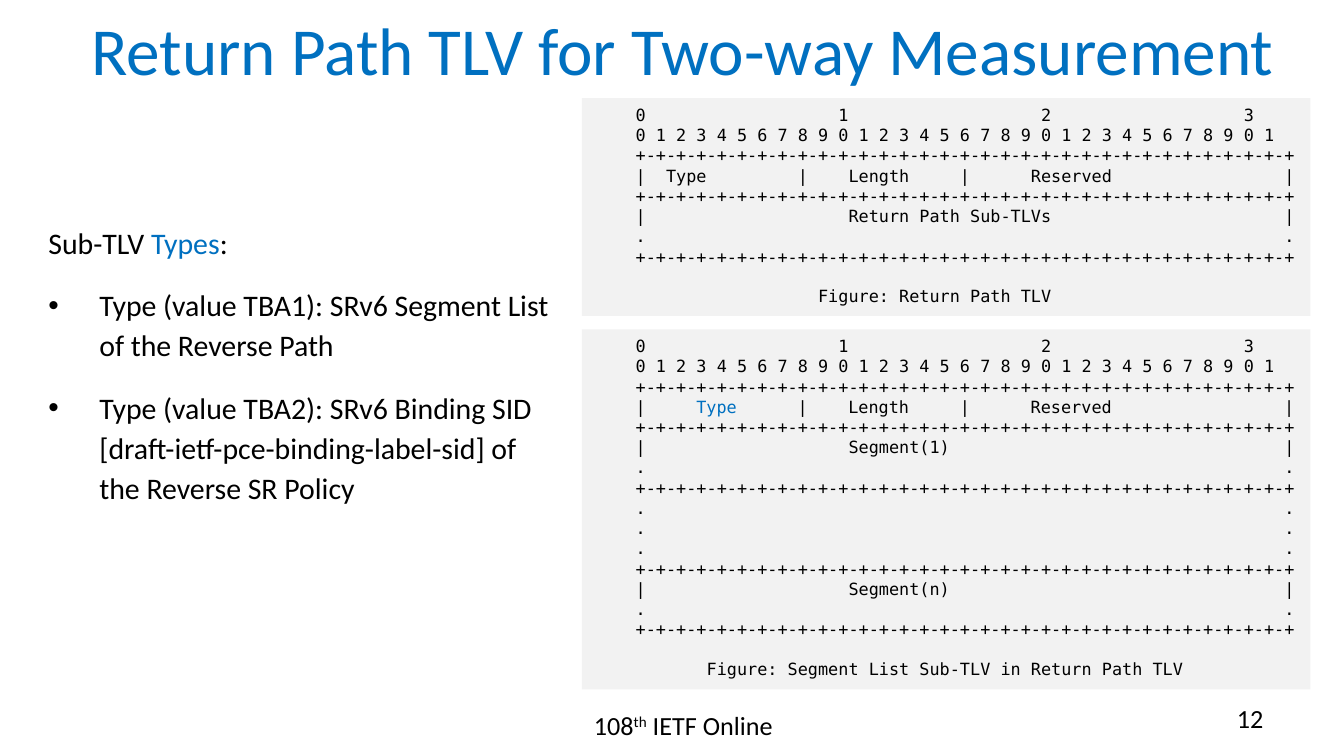
from lxml.etree import SubElement
from pptx import Presentation
from pptx.dml.color import RGBColor
from pptx.enum.shapes import MSO_SHAPE
from pptx.enum.text import MSO_ANCHOR, MSO_AUTO_SIZE, PP_ALIGN
from pptx.oxml.ns import qn
from pptx.util import Inches, Pt

COLORS = {"text": "000000", "accent": "0070C0", "panel": "F2F2F2"}
SANS, MONO = "Calibri", "DejaVu Sans Mono"
CELL = 0.1  # grid of 100 columns, one tenth of an inch each

# Packet diagram lines, 32 bits wide
MARGIN = " " * 4
TENS = MARGIN + (" " * 19).join("0123")
BITS = MARGIN + " ".join(str(bit % 10) for bit in range(32))
RULE = MARGIN + "+-" * 32 + "+"
DOTS = MARGIN + "." + " " * 63 + "."
FIELDS = "|    Length     |      Reserved                 |"


def grid(*cells):
    return [Inches(c * CELL) for c in cells]


def field(label):
    return MARGIN + "|" + (" " * 20 + label).ljust(63) + "|"


def add_run(p, text, size, font=SANS, color="text", raised=False):
    r = p.add_run()
    r.text = text
    r.font.name, r.font.size = font, Pt(size)
    r.font.color.rgb = RGBColor.from_string(COLORS[color])
    if raised:
        r._r.get_or_add_rPr().set("baseline", "30000")


def paragraphs(tf, count):
    return [tf.paragraphs[0]] + [tf.add_paragraph() for _ in range(count - 1)]


def place(sp, cells, anchor):
    sp.left, sp.top, sp.width, sp.height = grid(*cells)
    tf = sp.text_frame
    tf.word_wrap, tf.auto_size = True, MSO_AUTO_SIZE.NONE
    tf.vertical_anchor = anchor
    return tf


def set_bullet(p, char=None):
    pPr = p._p.get_or_add_pPr()
    indent = Inches(0.38) if char else 0
    pPr.set("marL", str(indent))
    pPr.set("indent", str(-indent))
    if char:
        SubElement(pPr, qn("a:buFont"), typeface="Arial")
        SubElement(pPr, qn("a:buChar"), char=char)
    else:
        SubElement(pPr, qn("a:buNone"))


def add_title(s, text):
    tf = place(s.shapes.title, (4.9, -1.1, 91.8, 9.4), MSO_ANCHOR.MIDDLE)
    p = tf.paragraphs[0]
    p.alignment = PP_ALIGN.CENTER
    add_run(p, text, 36, color="accent")


def add_types(s, heading, items):
    tf = place(s.placeholders[1], (2.6, 15.9, 40.1, 21.9), MSO_ANCHOR.TOP)
    for i, p in enumerate(paragraphs(tf, 1 + len(items))):
        set_bullet(p, "•" if i else None)
        p.line_spacing = Pt(21.4)
        p.space_before, p.space_after = Pt(6 if i else 0), Pt(6)
        for text, color in ([(items[i - 1], "text")] if i else heading):
            add_run(p, text, 16, color=color)


def add_diagram(s, top, height, lines, caption):
    sp = s.shapes.add_shape(MSO_SHAPE.RECTANGLE, *grid(43.3, top, 54.2, height))
    sp.shadow.inherit = False
    sp.fill.solid()
    sp.fill.fore_color.rgb = RGBColor.from_string(COLORS["panel"])
    sp.line.fill.background()
    tf = place(sp, (43.3, top, 54.2, height), MSO_ANCHOR.TOP)
    ps = paragraphs(tf, len(lines) + 1)
    for p, line in zip(ps, lines + [caption]):
        p.alignment = PP_ALIGN.LEFT
        # A line is plain text or a list of (text, color) runs
        for text, color in ([(line, "text")] if isinstance(line, str) else line):
            add_run(p, text, 9, MONO, color)
    ps[-1].space_before = Pt(10.5)


def add_footer(s, cells, align, runs):
    tf = place(s.shapes.add_textbox(*grid(*cells)), cells, MSO_ANCHOR.TOP)
    p = tf.paragraphs[0]
    p.alignment = align
    for text, raised in runs:
        add_run(p, text, 14, raised=raised)


def main():
    prs = Presentation()
    prs.slide_width, prs.slide_height = grid(100, 56.25)
    s = prs.slides.add_slide(prs.slide_layouts[1])

    # Title and list
    add_title(s, "Return Path TLV for Two-way Measurement")
    add_types(s, [("Sub-TLV ", "text"), ("Types", "accent"), (":", "text")], [
        "Type (value TBA1): SRv6 Segment List of the Reverse Path",
        "Type (value TBA2): SRv6 Binding SID [draft-ietf-pce-binding-label-sid]"
        " of the Reverse SR Policy",
    ])

    # Packet diagrams
    header = [TENS, BITS, RULE]
    add_diagram(s, 7.3, 16.2, header + [
        MARGIN + "|  Type         " + FIELDS, RULE,
        field("Return Path Sub-TLVs"), DOTS, RULE,
    ], " " * 22 + "Figure: Return Path TLV")
    type_row = [(MARGIN + "|     ", "text"), ("Type", "accent"),
                (" " * 6 + FIELDS, "text")]
    add_diagram(s, 24.5, 26.8, header + [
        type_row, RULE,
        field("Segment(1)"), DOTS, RULE,
        DOTS, DOTS, DOTS, RULE,
        field("Segment(n)"), DOTS, RULE,
    ], " " * 11 + "Figure: Segment List Sub-TLV in Return Path TLV")

    # Footer and page number
    add_footer(s, (35, 52.3, 31.7, 3.9), PP_ALIGN.CENTER,
               [("108", False), ("th", True), (" IETF Online", False)])
    add_footer(s, (71.7, 51.8, 23.3, 3.9), PP_ALIGN.RIGHT, [("12", False)])

    prs.save("out.pptx")


if __name__ == "__main__":
    main()
